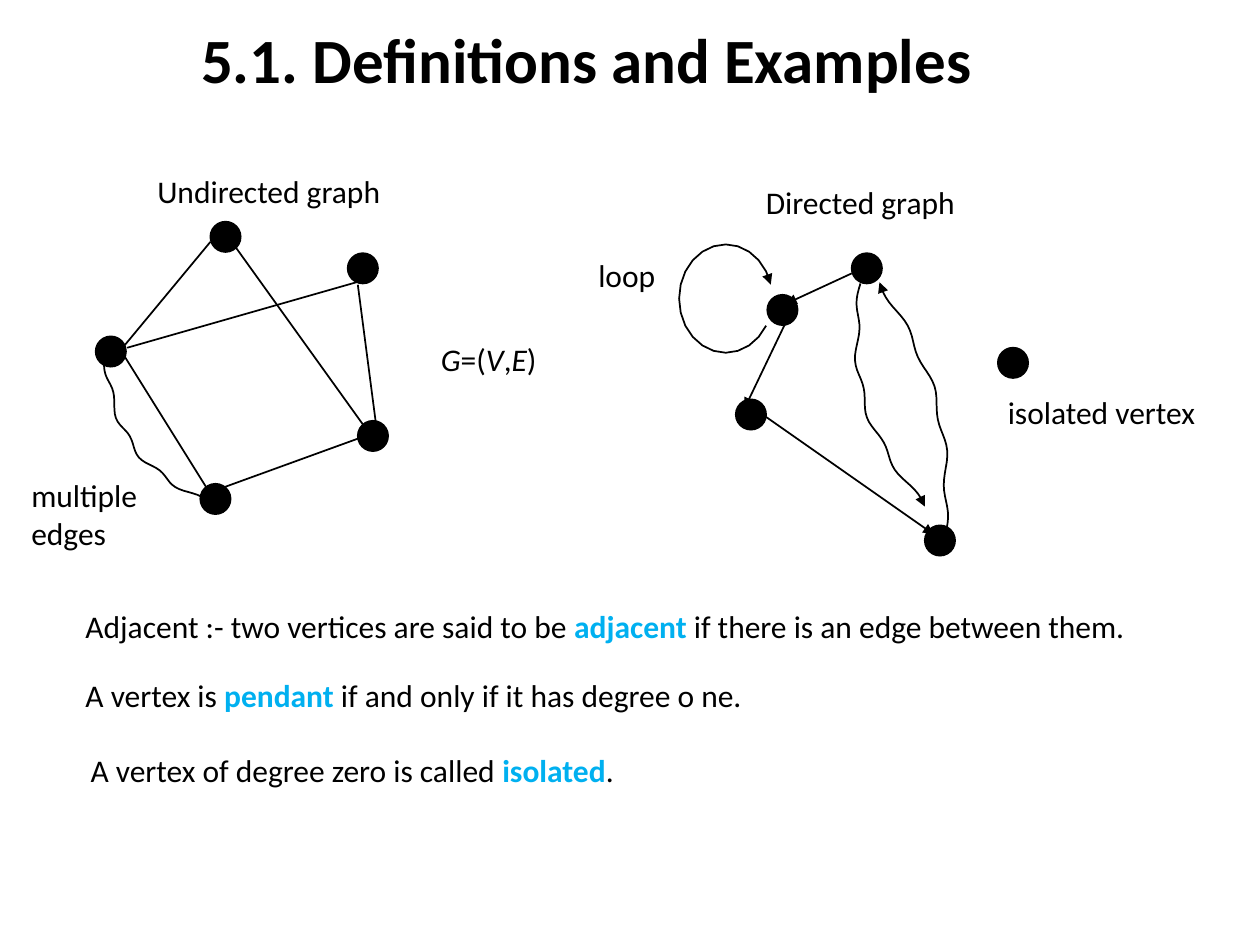
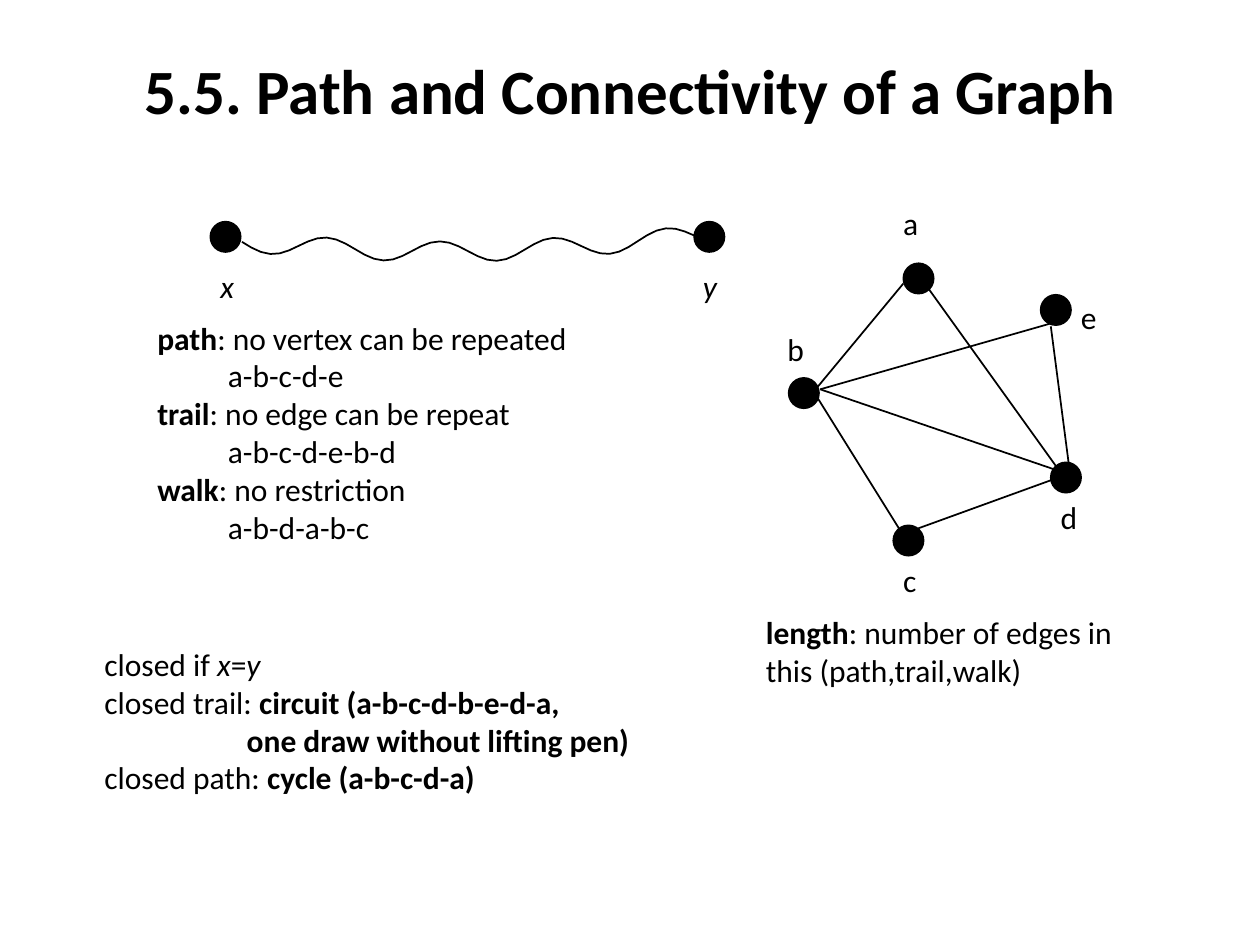
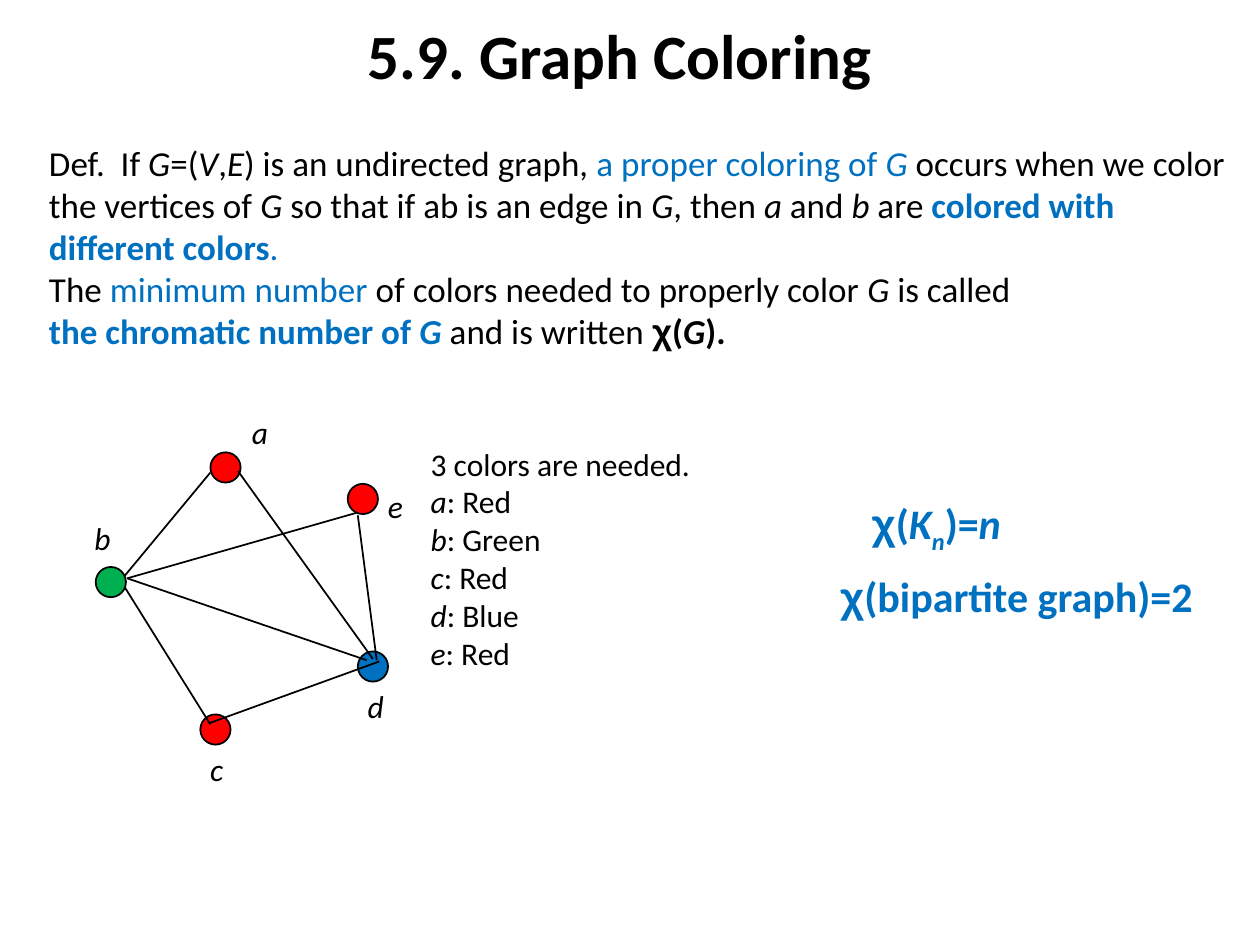
"""Build three slides on graph theory: definitions, paths and colouring."""
import math

import lxml.etree
import pptx
import pptx.dml.color
import pptx.enum.shapes
import pptx.enum.text
import pptx.oxml.ns
import pptx.util

Inches = pptx.util.Inches
BLACK = pptx.dml.color.RGBColor(0x00, 0x00, 0x00)
RED = pptx.dml.color.RGBColor(0xFF, 0x00, 0x00)
GREEN = pptx.dml.color.RGBColor(0x00, 0xB0, 0x50)
BLUE = pptx.dml.color.RGBColor(0x00, 0x70, 0xC0)
SKY = pptx.dml.color.RGBColor(0x00, 0xB0, 0xF0)
LEFT = pptx.enum.text.PP_ALIGN.LEFT
CENTER = pptx.enum.text.PP_ALIGN.CENTER
JUSTIFY = pptx.enum.text.PP_ALIGN.JUSTIFY
QN = pptx.oxml.ns.qn
DIAMETER = 0.24
LINE_WIDTH = pptx.util.Pt(1)
CURVE_STEPS = 48
RIPPLES = 4


def write(shape, box, *paragraphs, size=18, accent=BLUE, align=LEFT, wrap=False, indents={}):
    """Fill a shape with runs; flags: b bold, i italic, s subscript, c accent, g Greek."""
    shape.left, shape.top, shape.width, shape.height = map(Inches, box)
    frame = shape.text_frame
    frame.word_wrap = wrap
    frame.auto_size = pptx.enum.text.MSO_AUTO_SIZE.SHAPE_TO_FIT_TEXT
    frame.vertical_anchor = pptx.enum.text.MSO_ANCHOR.TOP
    for row, runs in enumerate(paragraphs):
        paragraph = frame.add_paragraph() if row else frame.paragraphs[0]
        paragraph.alignment = align
        if row in indents:
            paragraph._p.get_or_add_pPr().set("marL", str(Inches(indents[row])))
        for words, flags in [(runs, "")] if isinstance(runs, str) else runs:
            run = paragraph.add_run()
            run.text = words
            run.font.size = pptx.util.Pt(size)
            run.font.name = "Arial" if "g" in flags else "Calibri"
            run.font.bold = "b" in flags
            run.font.italic = "i" in flags
            run.font.color.rgb = accent if "c" in flags else BLACK
            if "s" in flags:
                run._r.get_or_add_rPr().set("baseline", "-25000")


def draw_edge(shapes, points, bow=0, ripple=0, arrow=False):
    """Draw an edge; bow bends a two-point edge sideways and ripple makes it wavy."""
    if bow or ripple:
        (x1, y1), (x2, y2) = points
        length = math.dist(*points)
        points = []
        for step in range(CURVE_STEPS + 1):
            t = step / CURVE_STEPS
            sideways = bow * math.sin(math.pi * t) + ripple * math.sin(2 * math.pi * RIPPLES * t)
            points.append((x1 + (x2 - x1) * t - (y2 - y1) / length * sideways,
                           y1 + (y2 - y1) * t + (x2 - x1) / length * sideways))
    corners = [(Inches(x), Inches(y)) for x, y in points]
    if len(corners) == 2:
        edge = shapes.add_connector(
            pptx.enum.shapes.MSO_CONNECTOR.STRAIGHT, *corners[0], *corners[1])
        lxml.etree.SubElement(edge._element.spPr, QN("a:effectLst"))
    else:
        builder = shapes.build_freeform(*corners[0])
        builder.add_line_segments(corners[1:], close=False)
        edge = builder.convert_to_shape()
        edge.fill.background()
        edge.shadow.inherit = False
    edge.line.color.rgb = BLACK
    edge.line.width = LINE_WIDTH
    if arrow:
        lxml.etree.SubElement(edge.line._get_or_add_ln(), QN("a:tailEnd"), type="triangle")


VERTICES = {"a": (1.67, 1.76), "b": (0.76, 2.67), "c": (1.59, 3.84),
            "d": (2.84, 3.34), "e": (2.76, 2.01)}
EDGES = {
    "ab": [(1.67, 1.92), (0.99, 2.74)],
    "be": [(1.01, 2.76), (2.83, 2.24)],
    "ed": [(2.84, 2.26), (2.99, 3.41)],
    "dc": [(3.01, 3.42), (1.66, 3.91)],
    "cb": [(1.67, 3.92), (0.99, 2.83)],
    "ad": [(1.84, 1.92), (2.91, 3.41)],
    "bd": [(1.01, 2.76), (2.91, 3.41)],
}
LABELS = {"a": (1.57, 1.24), "b": (0.65, 2.24), "c": (1.57, 4.07),
          "d": (2.82, 3.57), "e": (2.98, 1.99)}

LOOP_CENTER_X, LOOP_CENTER_Y = 5.76, 2.37
LOOP_RADIUS_X, LOOP_RADIUS_Y = 0.37, 0.43
loop = [(LOOP_CENTER_X + LOOP_RADIUS_X * math.cos(math.radians(angle)),
         LOOP_CENTER_Y + LOOP_RADIUS_Y * math.sin(math.radians(angle)))
        for angle in range(30, 346, 15)]

definitions = {
    "title": "5.1. Definitions and Examples", "title_box": (1.46, 0.11, 6.39, 0.7),
    "graph_offset": (0, 0), "skipped_edges": ["bd"],
    "extra_vertices": [(5.84, 3.17), (6.09, 2.34), (7.34, 4.17), (7.92, 2.76), (6.76, 2.01)],
    "extra_edges": [
        ([(0.83, 2.83), (1.67, 4)], {"bow": 0.23, "ripple": 0.02}),
        ([(6.76, 2.17), (6.24, 2.41)], {"arrow": True}),
        ([(6.26, 2.51), (5.91, 3.24)], {"arrow": True}),
        ([(6.01, 3.26), (7.41, 4.24)], {"arrow": True}),
        ([(6.83, 2.25), (7.34, 4.02)], {"bow": 0.23, "ripple": 0.02, "arrow": True}),
        ([(7.5, 4.25), (6.98, 2.24)], {"bow": 0.2, "ripple": 0.02, "arrow": True}),
        (loop, {"arrow": True}),
    ],
    "texts": [
        ((1.15, 1.32, 2.52, 0.5), ["Undirected graph"], {}),
        ((5.98, 1.4, 2.19, 0.5), ["Directed graph"], {}),
        ((7.9, 3.07, 2.15, 0.5), ["isolated vertex"], {}),
        ((4.65, 1.98, 0.79, 0.5), ["loop"], {}),
        ((0.15, 3.73, 1.31, 0.9), ["multiple", "edges"], {}),
        ((3.4, 2.65, 1.34, 0.5),
         [[("G", "i"), ("=(", ""), ("V", "i"), (",", ""), ("E", "i"), (")", "")]], {}),
        ((0.58, 4.77, 8.59, 0.4),
         [[("Adjacent :- two vertices are said to be ", ""), ("adjacent", "bc"),
           (" if there is an edge between them.", "")]], {"accent": SKY}),
        ((0.58, 5.32, 5.75, 0.4),
         [[("A vertex is ", ""), ("pendant ", "bc"),
           ("if and only if it has degree o ne.", "")]], {"accent": SKY, "wrap": True}),
        ((0.62, 5.91, 5.15, 0.4),
         [[("A vertex of degree zero is called ", ""), ("isolated", "bc"), (".", "")]],
         {"accent": SKY, "wrap": True}),
    ],
}

connectivity = {
    "title": "5.5. Path and Connectivity of a Graph", "title_box": (1.01, 0.36, 7.99, 0.7),
    "graph_offset": (5.5, 0.33), "label_flags": "", "labels": LABELS,
    "extra_vertices": [(1.67, 1.76), (5.51, 1.76)],
    "extra_edges": [([(1.92, 1.92), (5.51, 1.87)], {"bow": 0.1, "ripple": 0.08})],
    "texts": [
        ((1.65, 2.07, 0.35, 0.5), [[("x", "i")]], {}),
        ((5.48, 2.07, 0.35, 0.5), [[("y", "i")]], {}),
        ((1.15, 2.48, 4.42, 2.49),
         [[("path", "b"), (": no vertex can be repeated", "")], "a-b-c-d-e",
          [("trail", "b"), (": no edge can be repeat", "")], "a-b-c-d-e-b-d",
          [("walk", "b"), (": no restriction", "")], "a-b-d-a-b-c"],
         {"indents": dict.fromkeys((1, 3, 5), 0.56)}),
        ((0.73, 5.07, 6.01, 1.69),
         [[("closed if ", ""), ("x", "i"), ("=", ""), ("y", "i")],
          [("closed trail: ", ""), ("circuit (a-b-c-d-b-e-d-a,", "b")],
          [("one draw without lifting pen)", "b")],
          [("closed path: ", ""), ("cycle (a-b-c-d-a)", "b")]],
         {"indents": {2: 1.13}}),
        ((5.98, 4.82, 3.82, 0.9),
         [[("length", "b"), (": number of edges in", "")], "this (path,trail,walk)"], {}),
    ],
}

coloring = {
    "title": "5.9. Graph Coloring ", "title_box": (0.07, 0.08, 9.81, 0.7), "title_wrap": True,
    "graph_offset": (0, 1.83), "label_flags": "i", "labels": {**LABELS, "a": (1.9, 1.4)},
    "colors": {"a": RED, "b": GREEN, "c": RED, "d": BLUE, "e": RED},
    "edges": {**EDGES, "ad": [(1.89, 1.91), (2.96, 3.4)]},
    "texts": [
        ((0.29, 1.07, 9.59, 1.78),
         [[("Def.  If ", ""), ("G", "i"), ("=(", ""), ("V", "i"), (",", ""), ("E", "i"),
           (") is an undirected graph, ", ""), ("a proper coloring of ", "c"), ("G ", "ci"),
           ("occurs when we color", "")],
          [("the vertices of ", ""), ("G", "i"), (" so that if ab is an edge in ", ""),
           ("G", "i"), (", then ", ""), ("a", "i"), (" and ", ""), ("b", "i"),
           (" are ", ""), ("colored with ", "bc")],
          [("different colors", "bc"), (". ", "c")],
          [("The ", ""), ("minimum number", "c"),
           (" of colors needed to properly color ", ""), ("G", "i"), (" is called", "")],
          [("the chromatic number of ", "bc"), ("G ", "bci"), ("and is written ", ""),
           ("χ", "bg"), ("(", "b"), ("G", "bi"), (").", "b")]],
         {"size": 20, "align": JUSTIFY, "wrap": True}),
        ((3.32, 3.48, 2.86, 2.49),
         ["3 colors are needed."] + [
             [(vertex, "i"), (f": {color}", "")]
             for vertex, color in zip("abcde", ("Red", "Green", "Red", "Blue", "Red"))], {}),
        ((6.82, 3.9, 1.24, 0.5),
         [[("χ", "bcg"), ("(", "bc"), ("K", "bci"), ("n", "bcis"), (")=", "bc"),
           ("n", "bci")]], {"size": 24}),
        ((6.57, 4.48, 3.02, 0.5),
         [[("χ", "bcg"), ("(bipartite graph)=2", "bc")]], {"size": 24}),
    ],
}

deck = pptx.Presentation()
deck.slide_width, deck.slide_height = Inches(10), Inches(7.5)
title_only = deck.slide_layouts[5]

for topic in (definitions, connectivity, coloring):
    shapes = deck.slides.add_slide(title_only).shapes
    write(shapes.title, topic["title_box"], [(topic["title"], "b")], size=36, align=CENTER,
          wrap=topic.get("title_wrap", False))
    dx, dy = topic["graph_offset"]

    colors = topic.get("colors", {})
    discs = [(x + dx, y + dy, colors.get(name, BLACK)) for name, (x, y) in VERTICES.items()]
    discs += [(x, y, BLACK) for x, y in topic.get("extra_vertices", [])]
    for x, y, color in discs:
        vertex = shapes.add_shape(pptx.enum.shapes.MSO_SHAPE.OVAL, Inches(x), Inches(y),
                                  Inches(DIAMETER), Inches(DIAMETER))
        vertex.shadow.inherit = False
        vertex.fill.solid()
        vertex.fill.fore_color.rgb = color
        vertex.line.color.rgb = BLACK
        vertex.line.width = LINE_WIDTH

    for name, ends in topic.get("edges", EDGES).items():
        if name not in topic.get("skipped_edges", []):
            draw_edge(shapes, [(x + dx, y + dy) for x, y in ends])
    for points, options in topic.get("extra_edges", []):
        draw_edge(shapes, points, **options)

    for name, (x, y) in topic.get("labels", {}).items():
        write(shapes.add_textbox(0, 0, 0, 0), (x + dx, y + dy, 0.35, 0.5),
              [(name, topic["label_flags"])])
    for box, paragraphs, options in topic["texts"]:
        write(shapes.add_textbox(0, 0, 0, 0), box, *paragraphs, **options)

deck.save("out.pptx")
